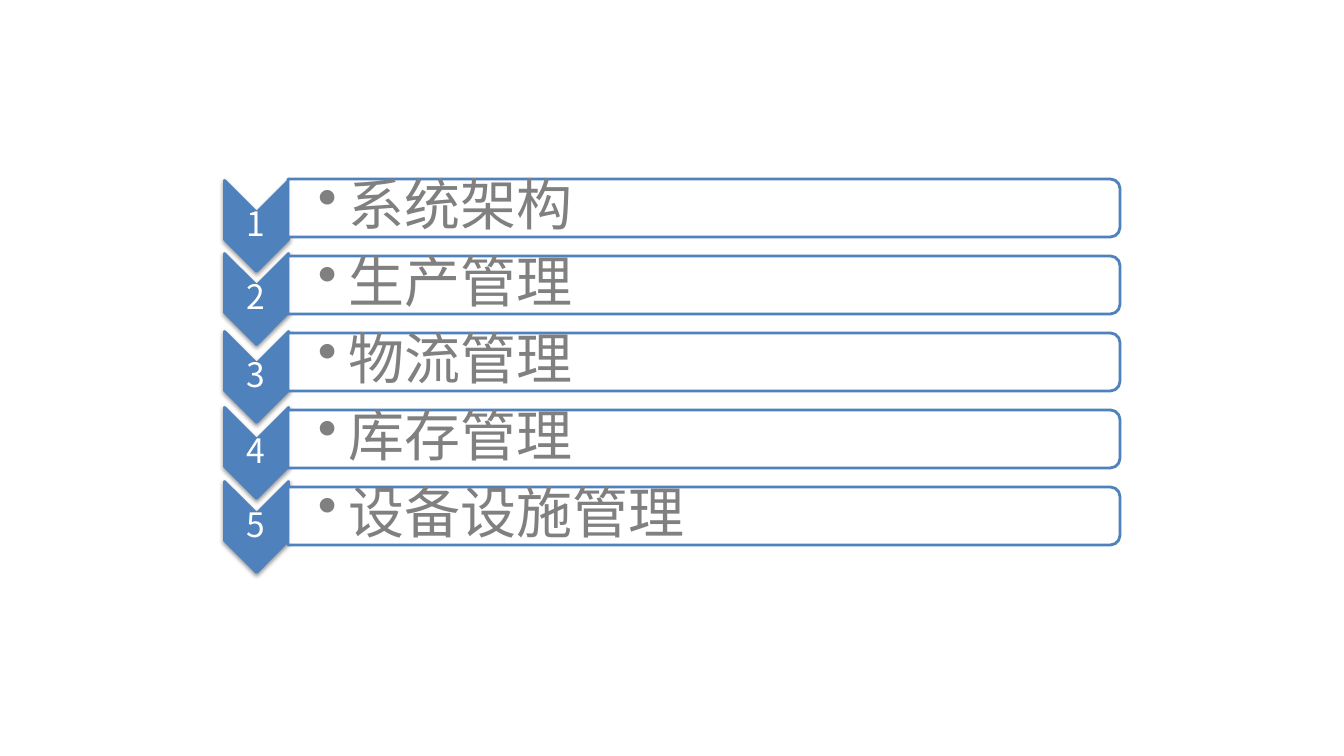
from lxml import etree
from pptx import Presentation
from pptx import util as u
from pptx.dml.color import RGBColor
from pptx.enum import shapes, text
from pptx.oxml import ns

SCALE = 914400 / 100.8
FONT = "Noto Sans CJK SC"
BLUE, WHITE, GRAY = "4F81BD", "FFFFFF", "808080"


def paint(format_part, color):
    if hasattr(format_part, "solid"):
        format_part.solid()
        format_part = format_part.fore_color
    format_part.rgb = RGBColor.from_string(color)


def add(parent, tag, **attributes):
    return etree.SubElement(parent, ns.qn(tag), attributes)


deck = Presentation()
deck.slide_width = round(1344 * SCALE)
deck.slide_height = round(756 * SCALE)
page = deck.slides.add_slide(deck.slide_layouts[6])

agenda = [
    ("系统架构", 194),
    ("生产管理", 267),
    ("物流管理", 345),
    ("库存管理", 421),
    ("设备设施管理", 495),
]

for index, (topic, chevron_top) in enumerate(agenda):
    bar_middle = 208 + 77 * index
    outlines = [
        (shapes.MSO_SHAPE.CHEVRON, (211, chevron_top, 91, 64), BLUE),
        (shapes.MSO_SHAPE.ROUND_2_SAME_RECTANGLE, (675, bar_middle - 416, 58, 832), WHITE),
    ]
    captions = [
        (str(index + 1), (224, chevron_top + 18, 64, 27), 2, 2, 24, 8.4, WHITE),
        (topic, (287, bar_middle - 27, 830, 53), 31, 3, 40, 6, GRAY),
    ]
    for (preset, area, fill), caption in zip(outlines, captions):
        shape = page.shapes.add_shape(preset, *[round(n * SCALE) for n in area])
        shape.rotation = 90
        shape.shadow.inherit = False
        paint(shape.fill, fill)
        paint(shape.line.fill, BLUE)
        shape.line.width = u.Pt(2)
        properties = shape._element.spPr
        if preset == shapes.MSO_SHAPE.CHEVRON:
            shadow = add(properties.find(ns.qn("a:effectLst")), "a:outerShdw",
                         blurRad=str(u.Pt(3.1)), dist=str(u.Pt(1.6)),
                         dir="5400000", rotWithShape="0")
            add(add(shadow, "a:srgbClr", val="000000"), "a:alpha", val="38000")
        else:
            add(properties.find(ns.qn("a:solidFill"))[0], "a:alpha", val="90000")

        words, area, inset_left, inset, size, space_after, color = caption
        box = page.shapes.add_textbox(*[round(n * SCALE) for n in area])
        frame = box.text_frame
        frame.word_wrap = True
        frame.vertical_anchor = text.MSO_ANCHOR.MIDDLE
        frame.margin_left = round(inset_left * SCALE)
        frame.margin_top = frame.margin_right = frame.margin_bottom = round(inset * SCALE)
        para = frame.paragraphs[0]
        para.line_spacing = 0.9
        para.space_after = u.Pt(space_after)
        if words == topic:
            settings = para._p.get_or_add_pPr()
            settings.set("marL", str(round(31 * SCALE)))
            settings.set("indent", str(round(-31 * SCALE)))
            add(settings, "a:buChar", char="•")
        else:
            para.alignment = text.PP_ALIGN.CENTER
        span = para.add_run()
        span.text = words
        span.font.size = u.Pt(size)
        span.font.name = FONT
        paint(span.font.fill, color)
        add(span.font._element, "a:ea", typeface=FONT)

deck.save("out.pptx")
